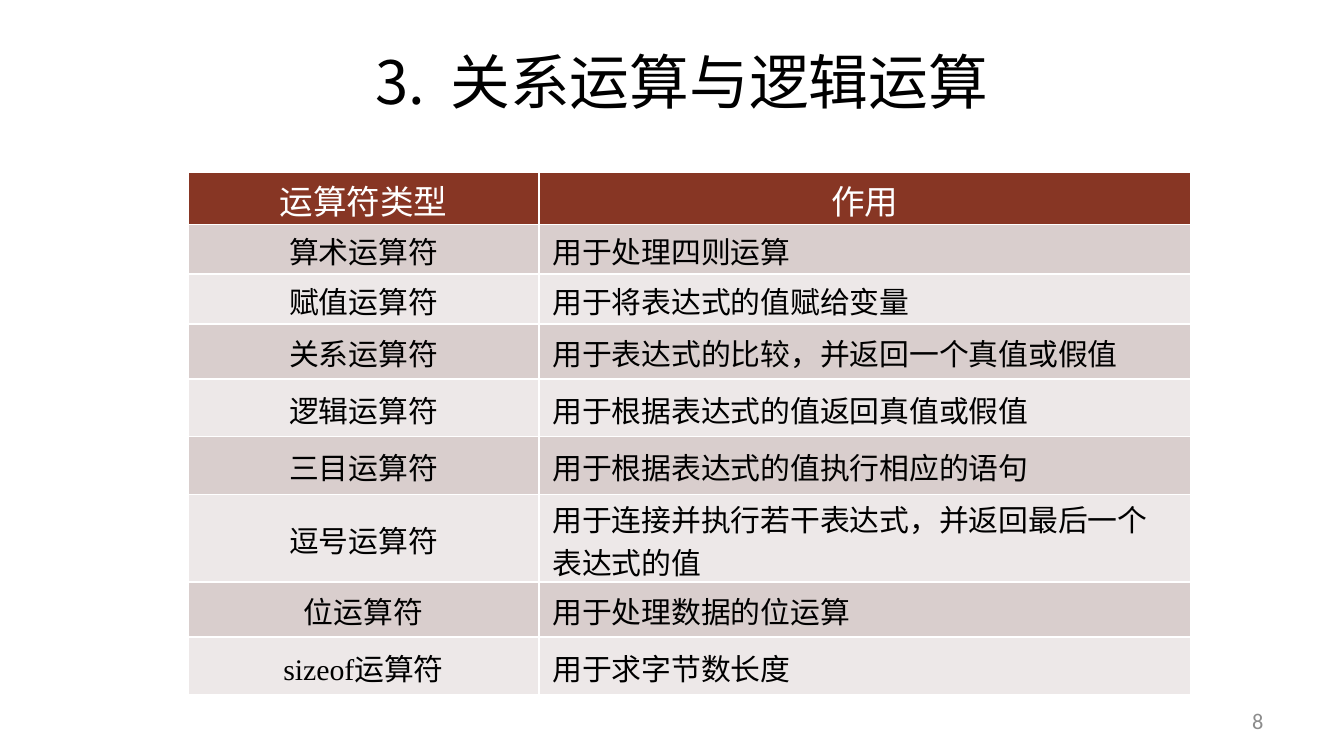
from dataclasses import dataclass

from lxml.etree import SubElement
from pptx import Presentation
from pptx.dml.color import RGBColor
from pptx.enum.text import MSO_ANCHOR, PP_ALIGN
from pptx.oxml import parse_xml
from pptx.oxml.ns import nsdecls, qn
from pptx.util import Inches, Pt


@dataclass(frozen=True)
class Theme:
    ink: str = "000000"
    white: str = "FFFFFF"
    muted: str = "8C8C8C"
    header: str = "873624"
    bands: tuple = ("D9CECD", "EDE8E8")
    cjk_font: str = "Noto Sans CJK SC"
    table_font: str = "Times New Roman"
    number_font: str = "Calibri"
    title_size: int = 32
    header_size: int = 18
    body_size: int = 16
    number_size: int = 12


class Deck:
    """Places elements on a grid of 100 columns by 56.25 rows, each 0.1 inch."""

    UNIT = Inches(0.1)

    def __init__(self, theme):
        self.theme = theme
        self.presentation = Presentation()
        self.presentation.slide_width = self.grid(100)
        self.presentation.slide_height = self.grid(56.25)
        self.slide = self.presentation.slides.add_slide(
            self.presentation.slide_layouts[6])

    def grid(self, steps):
        return round(steps * self.UNIT)

    def add_run(self, paragraph, wording, size, color, font):
        run = paragraph.add_run()
        run.text = wording
        run.font.size = Pt(size)
        run.font.bold = False
        run.font.name = font
        run.font.color.rgb = RGBColor.from_string(color)
        east_asian = SubElement(run.font._element, qn("a:ea"))
        east_asian.set("typeface", self.theme.cjk_font)

    def add_text(self, area, wording, size, color, font, align, number=None):
        """Add a one-line text box; number makes it an item of a numbered list."""
        box = self.slide.shapes.add_textbox(*map(self.grid, area))
        frame = box.text_frame
        frame.word_wrap = True
        frame.vertical_anchor = MSO_ANCHOR.MIDDLE
        frame.margin_top = frame.margin_bottom = 0
        paragraph = frame.paragraphs[0]
        paragraph.alignment = align
        if number:
            properties = paragraph._p.get_or_add_pPr()
            indent = self.grid(5.6)
            properties.set("marL", str(indent))
            properties.set("indent", str(-indent))
            SubElement(properties, qn("a:buFont")).set("typeface", "+mj-lt")
            numbering = SubElement(properties, qn("a:buAutoNum"))
            numbering.set("type", "arabicPeriod")
            numbering.set("startAt", str(number))
        self.add_run(paragraph, wording, size, color, font)

    def add_borders(self, cell):
        properties = cell._tc.get_or_add_tcPr()
        for position, side in enumerate(("lnL", "lnR", "lnT", "lnB")):
            properties.insert(position, parse_xml(
                f'<a:{side} {nsdecls("a")} w="{Pt(1)}"><a:solidFill>'
                f'<a:srgbClr val="{self.theme.white}"/>'
                f'</a:solidFill></a:{side}>'))

    def add_cell(self, cell, wording, size, color, fill, align):
        cell.fill.solid()
        cell.fill.fore_color.rgb = RGBColor.from_string(fill)
        cell.vertical_anchor = MSO_ANCHOR.MIDDLE
        cell.margin_top, cell.margin_bottom = Inches(0.02), 0
        self.add_borders(cell)
        paragraph = cell.text_frame.paragraphs[0]
        paragraph.alignment = align
        self.add_run(paragraph, wording, size, color, self.theme.table_font)

    def add_table(self, left, top, widths, heights, records):
        theme = self.theme
        table = self.slide.shapes.add_table(
            len(records), len(widths),
            *map(self.grid, (left, top, sum(widths), sum(heights)))).table
        for column, width in zip(table.columns, widths):
            column.width = self.grid(width)
        for index, (row, height, record) in enumerate(
                zip(table.rows, heights, records)):
            row.height = self.grid(height)
            is_header = index == 0
            fill = theme.header if is_header else theme.bands[(index - 1) % 2]
            size = theme.header_size if is_header else theme.body_size
            color = theme.white if is_header else theme.ink
            aligns = (PP_ALIGN.CENTER,
                      PP_ALIGN.CENTER if is_header else PP_ALIGN.LEFT)
            for cell, wording, align in zip(row.cells, record, aligns):
                self.add_cell(cell, wording, size, color, fill, align)


OPERATORS = (
    ("运算符类型", "作用"),
    ("算术运算符", "用于处理四则运算"),
    ("赋值运算符", "用于将表达式的值赋给变量"),
    ("关系运算符", "用于表达式的比较，并返回一个真值或假值"),
    ("逻辑运算符", "用于根据表达式的值返回真值或假值"),
    ("三目运算符", "用于根据表达式的值执行相应的语句"),
    ("逗号运算符", "用于连接并执行若干表达式，并返回最后一个表达式的值"),
    ("位运算符", "用于处理数据的位运算"),
    ("sizeof运算符", "用于求字节数长度"),
)
ROW_HEIGHTS = (3.9, 3.7, 3.7, 4.1, 4.3, 4.3, 6.5, 4.1, 4.3)


def main():
    theme = Theme()
    deck = Deck(theme)
    deck.add_text((11.1, 2.8, 79.3, 6.4), "关系运算与逻辑运算", theme.title_size,
                  theme.ink, theme.cjk_font, PP_ALIGN.CENTER, number=3)
    deck.add_table(14, 12.8, (26.1, 48.5), ROW_HEIGHTS, OPERATORS)
    deck.add_text((71.7, 52.1, 23.3, 3), "8", theme.number_size,
                  theme.muted, theme.number_font, PP_ALIGN.RIGHT)
    deck.presentation.save("out.pptx")


if __name__ == "__main__":
    main()
